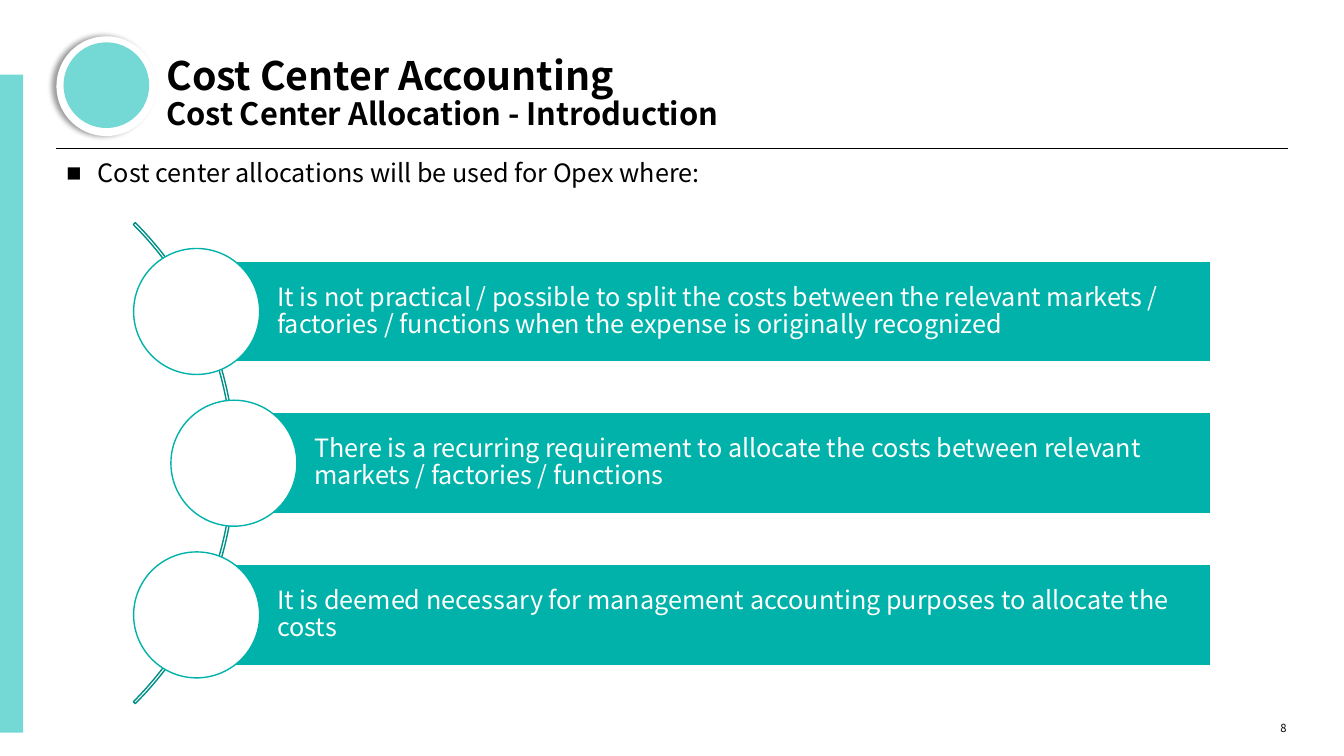
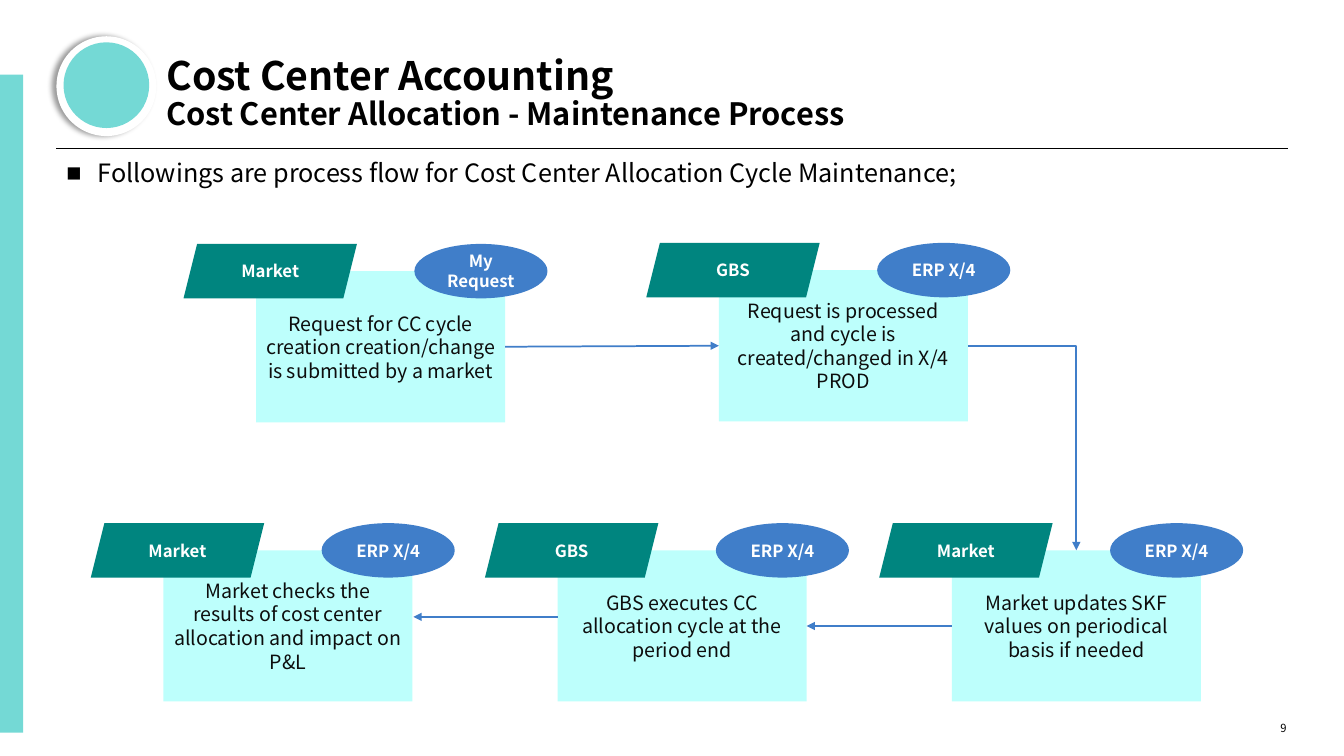
from lxml.etree import SubElement
from pptx import Presentation
from pptx.dml.color import RGBColor
from pptx.enum.shapes import MSO_CONNECTOR, MSO_SHAPE
from pptx.enum.text import MSO_ANCHOR, PP_ALIGN
from pptx.oxml.ns import qn
from pptx.util import Inches, Pt

FONT = "Noto Sans CJK JP"
BLACK = RGBColor(0x00, 0x00, 0x00)
INK = RGBColor(0x0D, 0x0D, 0x0D)
WHITE = RGBColor(0xFF, 0xFF, 0xFF)
AQUA = RGBColor(0x74, 0xD9, 0xD5)
PALE = RGBColor(0xBD, 0xFF, 0xFC)
TEAL = RGBColor(0x00, 0xB2, 0xA9)
DEEP = RGBColor(0x00, 0x85, 0x7F)
ARC = RGBColor(0x00, 0x8F, 0x87)
BLUE = RGBColor(0x40, 0x7E, 0xC9)

TITLE = "Cost Center Accounting"
CARD_W, CARD_H = 2.47, 1.5
TAG_W, BADGE_W, LABEL_H = 1.72, 1.32, 0.54
RIGHT, TOP, LEFT = 3, 0, 1  # connection sites of a rectangle


def write(shape, *lines, size=18, color=BLACK, bold=False, align=PP_ALIGN.LEFT,
          anchor=MSO_ANCHOR.TOP, inset=(0, 0, 0, 0), spacing=None, bullet=None):
    """Fill a shape with one paragraph per line; size may be a list, one per line."""
    frame = shape.text_frame
    frame.word_wrap = True
    frame.vertical_anchor = anchor
    (frame.margin_left, frame.margin_top,
     frame.margin_right, frame.margin_bottom) = map(Inches, inset)
    sizes = size if isinstance(size, list) else [size] * len(lines)
    for i, (line, points) in enumerate(zip(lines, sizes)):
        para = frame.add_paragraph() if i else frame.paragraphs[0]
        para.alignment = align
        if spacing:
            para.line_spacing = spacing
        if bullet:
            props = para._p.get_or_add_pPr()
            props.set("marL", str(Inches(0.31)))
            props.set("indent", str(Inches(-0.31)))
            SubElement(props, qn("a:buFont")).set("typeface", "Arial")
            SubElement(props, qn("a:buChar")).set("char", bullet)
        run = para.add_run()
        run.text = line
        run.font.name = FONT
        run.font.size = Pt(points)
        run.font.bold = bold
        run.font.color.rgb = color


def label(slide, x, y, w, h, *lines, **style):
    box = slide.shapes.add_textbox(Inches(x), Inches(y), Inches(w), Inches(h))
    write(box, *lines, **style)


def draw(slide, kind, x, y, w, h, fill=None, line=None):
    shape = slide.shapes.add_shape(kind, Inches(x), Inches(y), Inches(w), Inches(h))
    shape.shadow.inherit = False
    if fill is None:
        shape.fill.background()
    else:
        shape.fill.solid()
        shape.fill.fore_color.rgb = fill
    if line is None:
        shape.line.fill.background()
    else:
        shape.line.color.rgb = line
        shape.line.width = Pt(1)
    return shape


def rule(slide, x1, y1, x2, y2, color, width, kind=MSO_CONNECTOR.STRAIGHT):
    line = slide.shapes.add_connector(kind, *map(Inches, (x1, y1, x2, y2)))
    line.line.color.rgb = color
    line.line.width = Pt(width)
    SubElement(line._element.spPr, qn("a:effectLst"))
    return line


def arrow(slide, x1, y1, x2, y2, width=1.25, kind=MSO_CONNECTOR.STRAIGHT):
    line = rule(slide, x1, y1, x2, y2, BLUE, width, kind)
    SubElement(line.line._get_or_add_ln(), qn("a:tailEnd")).set("type", "triangle")
    return line


def glue(line, start, out, end, into):
    line.begin_connect(start, out)
    line.end_connect(end, into)


def cast(shape):
    """Give a shape a soft shadow to its left."""
    effects = shape._element.spPr.find(qn("a:effectLst"))
    outer = SubElement(effects, qn("a:outerShdw"), blurRad=str(Pt(4)),
                       dist=str(Pt(3)), dir="10800000", algn="r", rotWithShape="0")
    tint = SubElement(outer, qn("a:srgbClr"), val="000000")
    SubElement(tint, qn("a:alpha"), val="40000")


def base(deck, subject, lead, number):
    """Add a slide with the shared band, medal, title, lead line and number."""
    slide = deck.slides.add_slide(deck.slide_layouts[6])
    rule(slide, 0.56, 1.47, 12.77, 1.47, BLACK, 0.75)
    draw(slide, MSO_SHAPE.RECTANGLE, 0, 0.74, 0.23, 6.53, AQUA)
    cast(draw(slide, MSO_SHAPE.OVAL, 0.56, 0.36, 0.99, 0.99, WHITE))
    draw(slide, MSO_SHAPE.OVAL, 0.63, 0.42, 0.85, 0.85, AQUA)
    label(slide, 1.65, 0.23, 9.26, 1.08, TITLE, subject, size=[28, 22],
          bold=True, anchor=MSO_ANCHOR.BOTTOM, spacing=0.9)
    label(slide, 0.66, 1.56, 11.96, 0.74, lead, bullet="■")
    label(slide, 12.33, 6.89, 0.43, 0.4, str(number), size=8,
          align=PP_ALIGN.RIGHT, anchor=MSO_ANCHOR.BOTTOM)
    return slide


def bar(slide, x, y, right, text):
    """Draw a bar from x to right, with a disc centred on its left end."""
    high, disc = 1, 1.25
    box = draw(slide, MSO_SHAPE.RECTANGLE, x, y, right - x, high, TEAL, WHITE)
    write(box, text, color=WHITE, anchor=MSO_ANCHOR.MIDDLE,
          inset=(0.8, 0.05, 0.05, 0.05), spacing=0.9)
    draw(slide, MSO_SHAPE.OVAL, x - disc / 2, y + (high - disc) / 2,
         disc, disc, WHITE, TEAL)


def curve(slide, x, y, side):
    arc = draw(slide, MSO_SHAPE.BLOCK_ARC, x, y, side, side, line=ARC)
    for i, value in enumerate((189, 27, 0.004)):
        arc.adjustments[i] = value


def card(slide, x, y, text, owner, tool):
    """Draw a step with its owner tag and tool badge; return the step box."""
    style = dict(align=PP_ALIGN.CENTER, anchor=MSO_ANCHOR.MIDDLE,
                 inset=(0.1, 0.05, 0.1, 0.05))
    box = draw(slide, MSO_SHAPE.RECTANGLE, x, y, CARD_W, CARD_H, PALE)
    write(box, text, size=14, color=INK, **style)
    for kind, shift, wide, fill, name in (
            (MSO_SHAPE.OVAL, 1.57, BADGE_W, BLUE, tool),
            (MSO_SHAPE.PARALLELOGRAM, -0.72, TAG_W, DEEP, owner)):
        tag = draw(slide, kind, x + shift, y - LABEL_H / 2, wide, LABEL_H, fill)
        write(tag, name, size=12, color=WHITE, bold=True, **style)
    return box


def intro(deck):
    slide = base(deck, "Cost Center Allocation - Introduction",
                 "Cost center allocations will be used for Opex where:", 8)
    curve(slide, -4.42, 1.22, 6.75)
    reasons = (
        (1.95, "It is not practical / possible to split the costs between the relevant "
               "markets / factories / functions when the expense is originally recognized"),
        (2.32, "There is a recurring requirement to allocate the costs between relevant "
               "markets / factories / functions"),
        (1.95, "It is deemed necessary for management accounting purposes to allocate "
               "the costs"))
    for i, (x, text) in enumerate(reasons):
        bar(slide, x, 2.59 + 1.505 * i, 12.01, text)


def flow(deck):
    slide = base(deck, "Cost Center Allocation - Maintenance Process",
                 "Followings are process flow for Cost Center Allocation Cycle Maintenance;", 9)
    steps = (
        (2.54, 2.69, "Request for CC cycle creation creation/change is submitted by a market",
         "Market", "My Request"),
        (7.13, 2.68, "Request is processed and cycle is created/changed in X/4 PROD",
         "GBS", "ERP X/4"),
        (9.44, 5.46, "Market updates SKF values on periodical basis if needed",
         "Market", "ERP X/4"),
        (5.53, 5.46, "GBS executes CC allocation cycle at the period end",
         "GBS", "ERP X/4"),
        (1.62, 5.46, "Market checks the results of cost center allocation and impact on P&L",
         "Market", "ERP X/4"))
    ask, make, update, run, check = [card(slide, *step) for step in steps]
    glue(arrow(slide, 5.01, 3.44, 7.13, 3.43), ask, RIGHT, make, LEFT)
    bend = arrow(slide, 9.6, 3.43, 10.67, 5.46, 1.5, MSO_CONNECTOR.ELBOW)
    bend._element.spPr.find(qn("a:prstGeom")).set("prst", "bentConnector2")
    glue(bend, make, RIGHT, update, TOP)
    glue(arrow(slide, 9.44, 6.21, 8, 6.21), update, LEFT, run, RIGHT)
    arrow(slide, 5.53, 6.12, 4.1, 6.12)


def main():
    deck = Presentation()
    deck.slide_width, deck.slide_height = Inches(13.33), Inches(7.5)
    intro(deck)
    flow(deck)
    deck.save("out.pptx")


if __name__ == "__main__":
    main()
